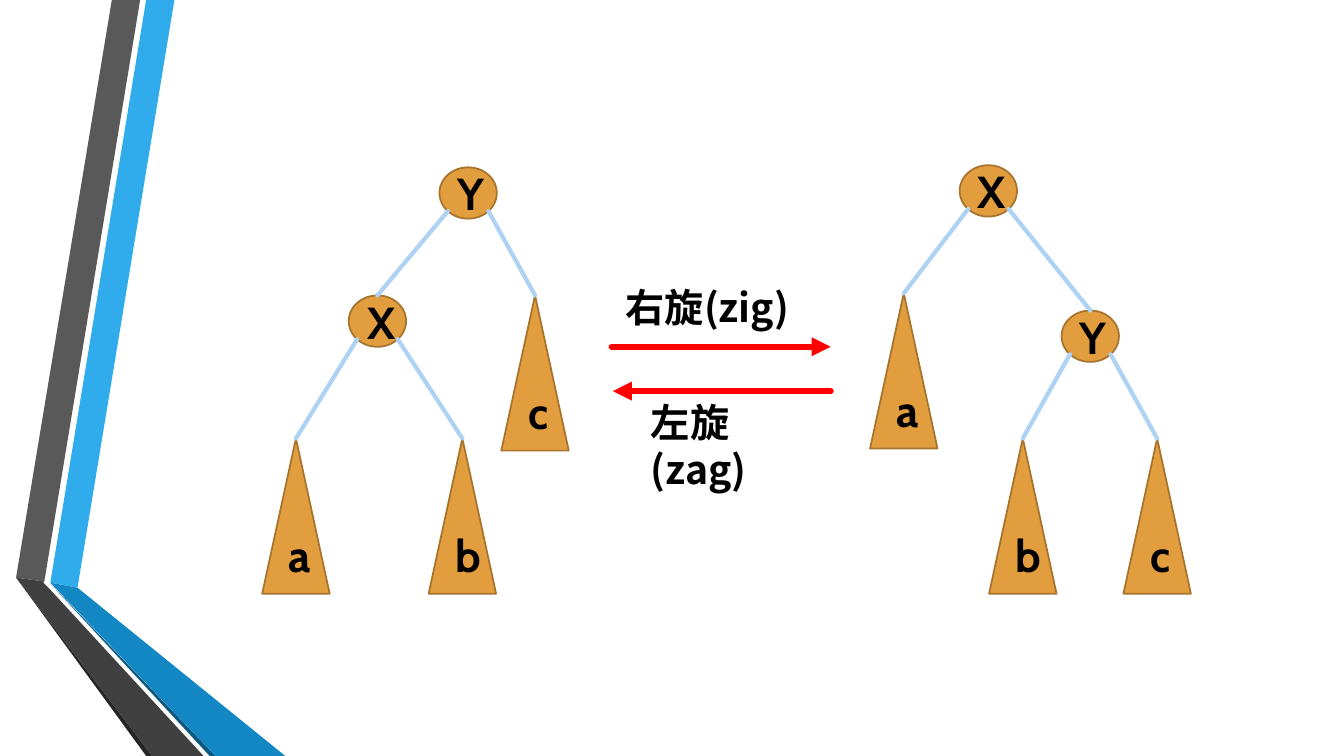
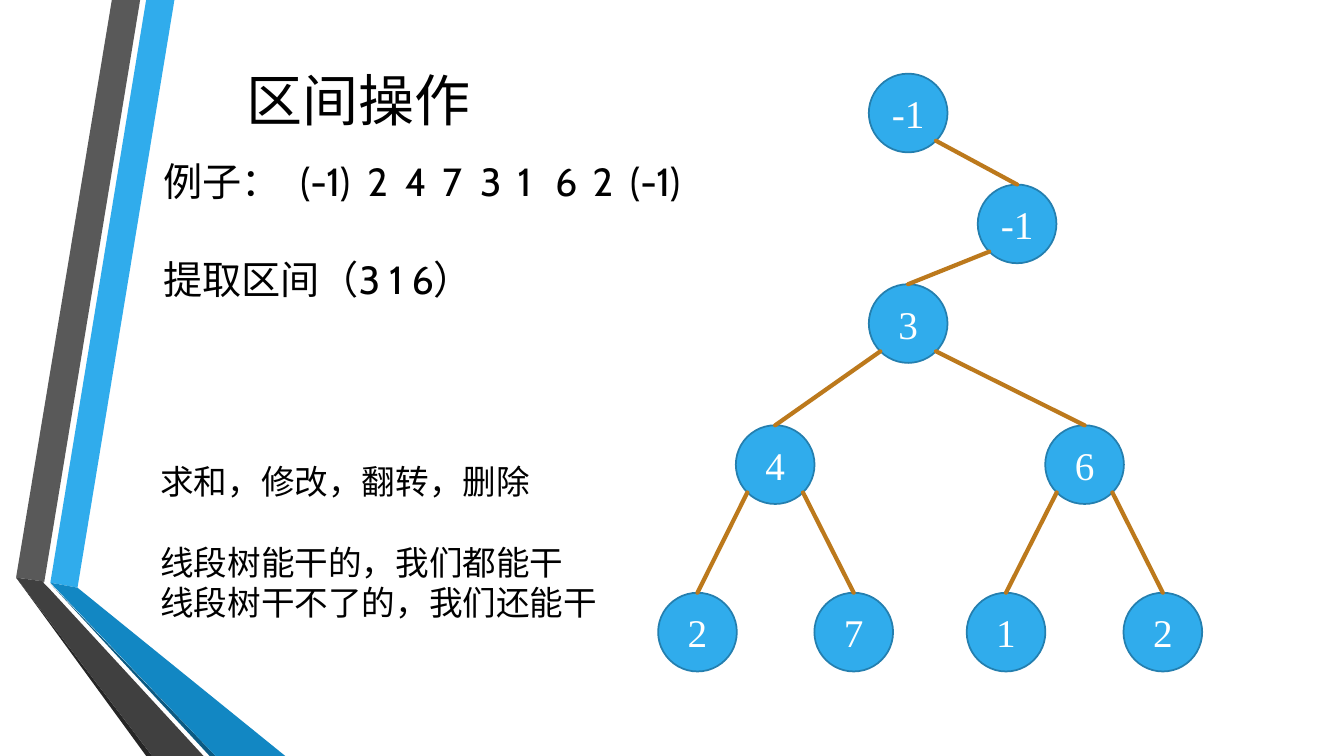
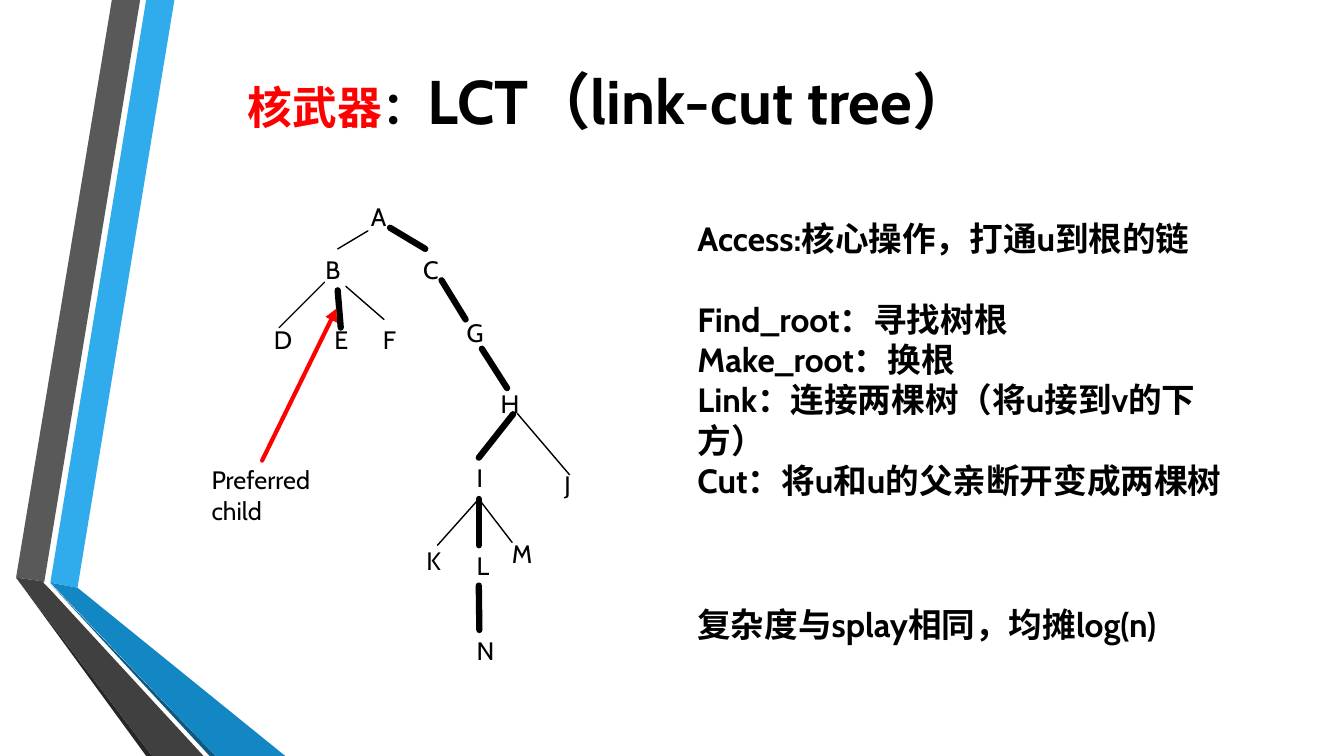
from dataclasses import dataclass
from typing import NamedTuple, Optional

import lxml.etree
import pptx
import pptx.dml.color
import pptx.enum.shapes
import pptx.enum.text
import pptx.oxml.ns
import pptx.shapes.autoshape
import pptx.slide
import pptx.text.text
import pptx.util

Pt = pptx.util.Pt
qn = pptx.oxml.ns.qn
Align = pptx.enum.text.PP_ALIGN
Anchor = pptx.enum.text.MSO_ANCHOR
Preset = pptx.enum.shapes.MSO_SHAPE


@dataclass(frozen=True)
class Theme:
    latin: str = "Cabin"
    east_asian: str = "Noto Sans CJK SC"
    serif: str = "Times New Roman"
    ink: str = "000000"
    white: str = "FFFFFF"
    red: str = "FF0000"
    blue: str = "30ACEC"
    blue_outline: str = "247FAF"
    orange: str = "E29D3E"
    orange_outline: str = "A7742E"
    pale_blue: str = "AED2F4"
    brown: str = "BC791C"
    headline: float = 44
    title: float = 40
    node: float = 32
    example: float = 28
    body: float = 24
    label: float = 18
    outline: float = 1.25
    thin: float = 1
    edge: float = 3
    thick: float = 4.5


THEME = Theme()


class Point(NamedTuple):
    x: float
    y: float


class Box(NamedTuple):
    left: float
    top: float
    width: float
    height: float


class Band(NamedTuple):
    color: str
    corners: list[tuple[float, float]]


class Letter(NamedTuple):
    text: str
    left: float
    top: float
    width: float


class Branch(NamedTuple):
    start: Point
    end: Point
    preferred: bool = False


@dataclass(frozen=True)
class NodeStyle:
    preset: pptx.enum.shapes.MSO_SHAPE
    width: float
    height: float
    fill: str
    outline: str
    color: str
    font: str
    size: float
    bold: bool


@dataclass(frozen=True)
class Node:
    text: str
    center: float
    top: float
    style: NodeStyle
    children: tuple["Node", ...] = ()


BANDS = [
    Band(THEME.blue, [(36, 416.2), (55.4, 419.8), (124.6, 0), (104.4, 0)]),
    Band("595959", [(100.1, 0), (79.9, 0), (11.5, 412.6), (31.7, 415.4)]),
    Band("262626", [(11.5, 412.6), (104.4, 540), (108.7, 540)]),
    Band("0C5A82", [(36, 416.9), (149.8, 540), (154.1, 540)]),
    Band("1287C3", [(36, 416.2), (154.1, 540), (203.8, 540), (55.4, 419.8)]),
    Band("404040", [(145.4, 540), (34.6, 419.8), (31, 416.2), (31.7, 415.4),
                    (11.5, 412.6), (108.7, 540)]),
]


def rgb(color: str) -> pptx.dml.color.RGBColor:
    return pptx.dml.color.RGBColor.from_string(color)


def write(paragraph: pptx.text.text._Paragraph, text: str, *, size: float,
          color: str = THEME.ink, bold: bool = False, font: str = THEME.latin,
          align: Align = Align.LEFT, before: float = 0) -> None:
    paragraph.alignment = align
    paragraph.space_before = Pt(before)
    run = paragraph.add_run()
    run.text = text
    run.font.size = Pt(size)
    run.font.bold = bold
    run.font.name = font
    run.font.color.rgb = rgb(color)
    east_asian = lxml.etree.SubElement(run._r.get_or_add_rPr(), qn("a:ea"))
    east_asian.set("typeface", THEME.east_asian)


def set_frame(frame: pptx.text.text.TextFrame, anchor: Anchor = Anchor.TOP) -> None:
    frame.word_wrap = True
    frame.auto_size = pptx.enum.text.MSO_AUTO_SIZE.NONE
    frame.vertical_anchor = anchor


def place(holder: pptx.shapes.autoshape.Shape, box: Box,
          anchor: Anchor = Anchor.TOP) -> pptx.text.text.TextFrame:
    holder.left, holder.top, holder.width, holder.height = map(Pt, box)
    set_frame(holder.text_frame, anchor)
    return holder.text_frame


def add_label(slide: pptx.slide.Slide, box: Box, text: str,
              **text_format) -> pptx.text.text._Paragraph:
    frame = slide.shapes.add_textbox(*map(Pt, box)).text_frame
    set_frame(frame)
    write(frame.paragraphs[0], text, **text_format)
    return frame.paragraphs[0]


def fill_body(slide: pptx.slide.Slide, box: Box, lines: list[str],
              bold: bool = False) -> None:
    frame = place(slide.placeholders[1], box)
    for index, line in enumerate(lines):
        paragraph = frame.add_paragraph() if index else frame.paragraphs[0]
        write(paragraph, line, size=THEME.body, bold=bold,
              before=29 if index == 1 else 0)
        properties = paragraph._p.get_or_add_pPr()
        properties.set("marL", "0")
        properties.set("indent", "0")
        lxml.etree.SubElement(properties, qn("a:buNone"))


def set_tabs(paragraph: pptx.text.text._Paragraph, stops: list[float]) -> None:
    tabs = lxml.etree.SubElement(paragraph._p.get_or_add_pPr(), qn("a:tabLst"))
    for stop in stops:
        lxml.etree.SubElement(tabs, qn("a:tab"), pos=str(Pt(stop)), algn="l")


def add_line(slide: pptx.slide.Slide, start: Point, end: Point, color: str,
             width: float, arrow: bool = False) -> None:
    line = slide.shapes.add_connector(
        pptx.enum.shapes.MSO_CONNECTOR.STRAIGHT, *map(Pt, (*start, *end)))
    line.line.color.rgb = rgb(color)
    line.line.width = Pt(width)
    stroke = line.line._get_or_add_ln()
    stroke.set("cap", "rnd")
    if arrow:
        lxml.etree.SubElement(stroke, qn("a:tailEnd"), type="triangle")
    lxml.etree.SubElement(line.element.spPr, qn("a:effectLst"))


def add_node(slide: pptx.slide.Slide, node: Node) -> None:
    style = node.style
    box = Box(node.center - style.width / 2, node.top, style.width, style.height)
    shape = slide.shapes.add_shape(style.preset, *map(Pt, box))
    shape.shadow.inherit = False
    shape.fill.solid()
    shape.fill.fore_color.rgb = rgb(style.fill)
    shape.line.color.rgb = rgb(style.outline)
    shape.line.width = Pt(THEME.outline)
    set_frame(shape.text_frame, Anchor.MIDDLE)
    write(shape.text_frame.paragraphs[0], node.text, size=style.size,
          color=style.color, bold=style.bold, font=style.font, align=Align.CENTER)


def add_tree(slide: pptx.slide.Slide, node: Node, edge_color: str) -> None:
    diagonal = 0.5 ** 0.5 / 2
    add_node(slide, node)
    for child in node.children:
        add_tree(slide, child, edge_color)
        side = 1 if child.center > node.center else -1
        start = Point(node.center + side * diagonal * node.style.width,
                      node.top + (0.5 + diagonal) * node.style.height)
        add_line(slide, start, Point(child.center, child.top), edge_color, THEME.edge)


def add_bands(slide: pptx.slide.Slide, master: pptx.slide.SlideMaster) -> None:
    for index, band in enumerate(BANDS):
        corners = [(Pt(x), Pt(y)) for x, y in band.corners]
        builder = slide.shapes.build_freeform(*corners[0], scale=1.0)
        builder.add_line_segments(corners[1:], close=True)
        stripe = builder.convert_to_shape()
        stripe.shadow.inherit = False
        stripe.fill.solid()
        stripe.fill.fore_color.rgb = rgb(band.color)
        stripe.line.fill.background()
        stripe.element.nvSpPr.cNvPr.set("id", str(100 + index))
        master.shapes.element.insert(2 + index, stripe.element)


def build_rotation(slide: pptx.slide.Slide) -> None:
    lettering = (THEME.orange, THEME.orange_outline, THEME.ink, THEME.latin,
                 THEME.node, True)
    knot = NodeStyle(Preset.OVAL, 41, 36.7, *lettering)
    subtree = NodeStyle(Preset.ISOSCELES_TRIANGLE, 48.2, 110.9, *lettering)
    before_zig = Node("Y", 334.4, 119.5, knot, (
        Node("X", 269.6, 211, knot, (
            Node("a", 211.4, 313.2, subtree),
            Node("b", 330.3, 313.2, subtree))),
        Node("c", 382.2, 211, subtree)))
    after_zig = Node("X", 706, 118, knot, (
        Node("a", 645.6, 209.5, subtree),
        Node("Y", 778.8, 221.8, knot, (
            Node("b", 730.6, 313.2, subtree),
            Node("c", 826.6, 313.2, subtree)))))
    for tree in (before_zig, after_zig):
        add_tree(slide, tree, THEME.pale_blue)
    add_line(slide, Point(437, 247.7), Point(593.3, 247.7), THEME.red, THEME.thick, True)
    add_line(slide, Point(593.3, 279.4), Point(437.8, 279.4), THEME.red, THEME.thick, True)
    for box, turn in ((Box(440, 198.7, 151.2, 41), "右旋(zig)"),
                      (Box(457.9, 280.8, 135.4, 41), "左旋(zag)")):
        add_label(slide, box, turn, size=THEME.example, bold=True,
                  font=THEME.east_asian)


def build_intervals(slide: pptx.slide.Slide) -> None:
    title = place(slide.shapes.title, Box(0.7, 32.4, 510.5, 76.3), Anchor.MIDDLE)
    write(title.paragraphs[0], "区间操作", size=THEME.title, align=Align.CENTER)
    sequence = ["例子：", "(-1)", *"2473162", "(-1)"]
    example = add_label(slide, Box(109.4, 108.7, 401.8, 41), "\t".join(sequence),
                        size=THEME.example)
    set_tabs(example, [98] + [146 + 26.8 * step for step in range(8)])
    add_label(slide, Box(109.4, 178.6, 401.8, 41), "提取区间（3 1 6）",
              size=THEME.example)
    fill_body(slide, Box(107.3, 325.4, 339.1, 123.8), [
        "求和，修改，翻转，删除",
        "线段树能干的，我们都能干",
        "线段树干不了的，我们还能干",
    ])
    knot = NodeStyle(Preset.OVAL, 56.2, 56.2, THEME.blue, THEME.blue_outline,
                     THEME.white, THEME.serif, THEME.example, False)
    interval = Node("3", 648.7, 203, knot, (
        Node("4", 553.7, 303.8, knot, (
            Node("2", 498.2, 423.4, knot), Node("7", 609.8, 423.4, knot))),
        Node("6", 774.7, 303.8, knot, (
            Node("1", 718.6, 423.4, knot), Node("2", 830.6, 423.4, knot)))))
    root = Node("-1", 648.7, 52.6, knot, (
        Node("-1", 726.5, 131.8, knot, (interval,)),))
    add_tree(slide, root, THEME.brown)


LETTERS = [
    Letter("A", 257.8, 140.4, 31), Letter("B", 225.4, 177.8, 31),
    Letter("C", 295.2, 177.8, 17.3), Letter("D", 188.6, 228.2, 31),
    Letter("E", 231.8, 228.2, 31), Letter("F", 266.4, 228.2, 16.6),
    Letter("G", 326.2, 223.2, 31), Letter("H", 350.6, 273.6, 31),
    Letter("I", 333.4, 326.9, 17.3), Letter("J", 396, 331.9, 31),
    Letter("K", 297.4, 385.9, 20.9), Letter("L", 333.4, 389.5, 17.3),
    Letter("M", 358.6, 380.9, 20.2), Letter("N", 333.4, 450, 18.7),
]

BRANCHES = [
    Branch(Point(262.8, 164.9), Point(241.2, 177.8)),
    Branch(Point(278.6, 162.7), Point(303.8, 177.8), True),
    Branch(Point(231.8, 201.6), Point(199.4, 234)),
    Branch(Point(241.2, 207.4), Point(243.4, 234), True),
    Branch(Point(247, 204.5), Point(274.3, 228.2)),
    Branch(Point(315.4, 200.2), Point(332.6, 228.2), True),
    Branch(Point(344.2, 249.1), Point(362.2, 277.2), True),
    Branch(Point(366.5, 295.9), Point(342, 326.9), True),
    Branch(Point(369.4, 295.2), Point(406.8, 339.1)),
    Branch(Point(342, 356.4), Point(342, 389.5), True),
    Branch(Point(342, 418.3), Point(342.4, 450), True),
    Branch(Point(342, 356.4), Point(365.8, 387.4)),
    Branch(Point(342, 356.4), Point(312.5, 389.5)),
]


def build_link_cut(slide: pptx.slide.Slide) -> None:
    title = place(slide.shapes.title, Box(169.9, 41, 630.7, 60.5)).paragraphs[0]
    write(title, "核武器", size=THEME.node, color=THEME.red, bold=True)
    write(title, "：", size=THEME.node, bold=True)
    write(title, "LCT（link-cut tree）", size=THEME.headline, bold=True)
    for letter in LETTERS:
        add_label(slide, Box(letter.left, letter.top, letter.width, 28.8),
                  letter.text, size=THEME.label)
    for branch in BRANCHES:
        add_line(slide, branch.start, branch.end, THEME.ink,
                 THEME.thick if branch.preferred else THEME.thin)
    fill_body(slide, Box(491, 151.9, 401.8, 181.4), [
        "Access:核心操作，打通u到根的链",
        "Find_root：寻找树根",
        "Make_root：换根",
        "Link：连接两棵树（将u接到v的下方）",
        "Cut：将u和u的父亲断开变成两棵树",
    ], bold=True)
    add_label(slide, Box(491, 427.7, 401.8, 36), "复杂度与splay相同，均摊log(n)",
              size=THEME.body, bold=True)
    add_line(slide, Point(187.2, 329), Point(240.5, 220.3), THEME.red, THEME.edge, True)
    add_label(slide, Box(144, 328.3, 109.4, 51.1), "Preferred child",
              size=THEME.label)


def main() -> None:
    deck = pptx.Presentation()
    deck.slide_width, deck.slide_height = Pt(960), Pt(540)
    content, blank = deck.slide_layouts[1], deck.slide_layouts[6]
    rotation = deck.slides.add_slide(blank)
    add_bands(rotation, deck.slide_master)
    build_rotation(rotation)
    build_intervals(deck.slides.add_slide(content))
    build_link_cut(deck.slides.add_slide(content))
    deck.save("out.pptx")


main()
